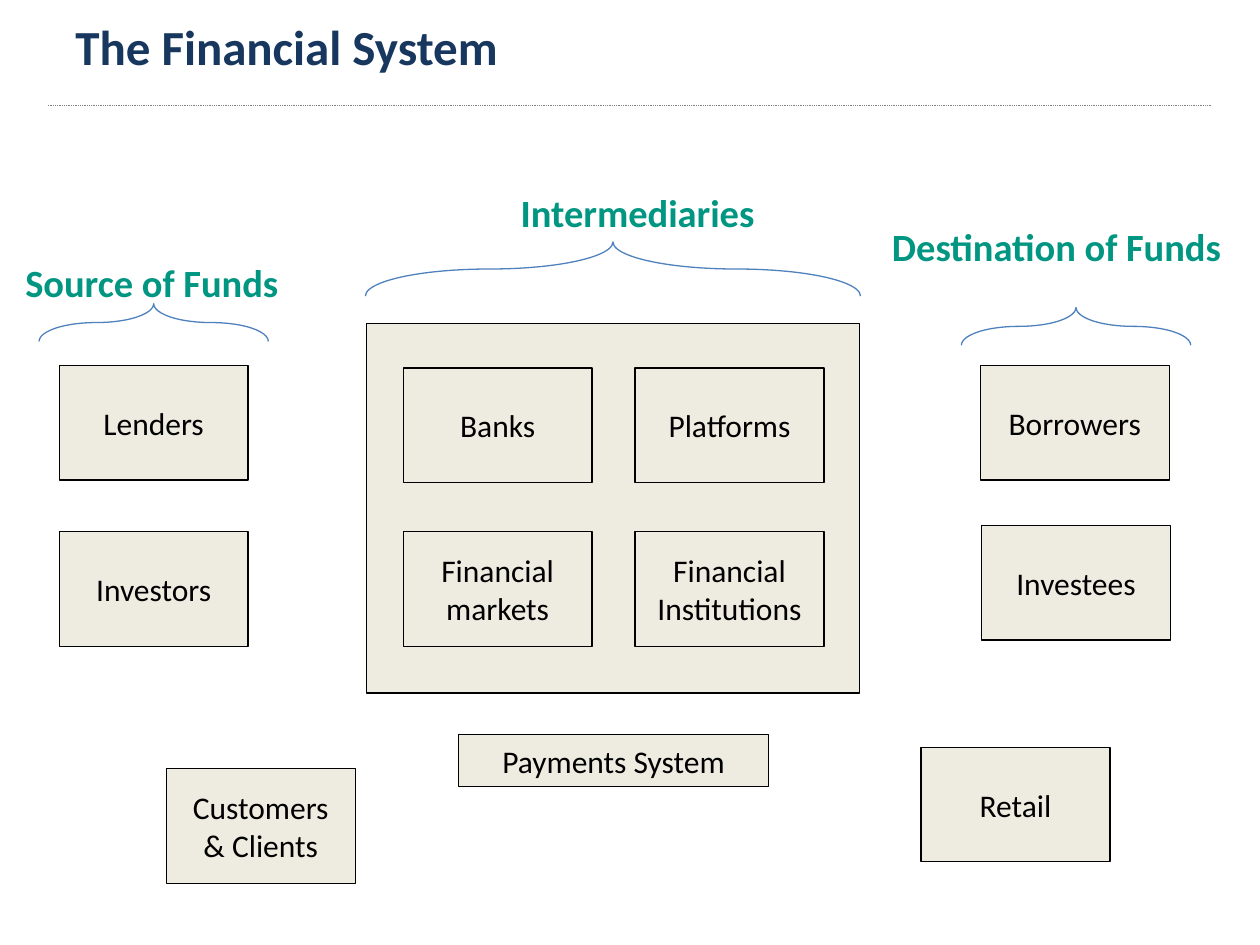
from dataclasses import dataclass
from pptx import Presentation
from pptx.dml.color import RGBColor
from pptx.enum import dml, shapes, text
from pptx.oxml.ns import qn
from pptx.util import Inches, Pt


@dataclass
class Theme:
    font: str = "Calibri"
    title: str = "17375E"
    head: str = "009682"
    ink: str = "000000"
    fill: str = "EEECE1"
    brace: str = "4F81BD"
    rule: str = "808080"
    big: int = 28
    mid: int = 22
    body: int = 18


look = Theme()
deck = Presentation()
deck.slide_width, deck.slide_height = Inches(10), Inches(7.5)
slide = deck.slides.add_slide(deck.slide_layouts[6])


def write(shape, words, size, color, bold=False, align=text.PP_ALIGN.CENTER):
    para = shape.text_frame.paragraphs[0]
    para.text = words
    para.alignment = align
    font = para.font
    font.name, font.size, font.bold = look.font, Pt(size), bold
    font.color.rgb = RGBColor.from_string(color)


def draw(kind, place, line, fill=None):
    shape = slide.shapes.add_shape(kind, *map(Inches, place))
    shape.shadow.inherit = False
    shape.line.color.rgb = RGBColor.from_string(line)
    shape.line.width = Pt(0.75)
    if fill:
        shape.fill.solid()
        shape.fill.fore_color.rgb = RGBColor.from_string(fill)
    else:
        shape.fill.background()
    return shape


# Rule under the title
rule = slide.shapes.add_connector(
    shapes.MSO_CONNECTOR.STRAIGHT,
    Inches(0.38), Inches(0.84), Inches(9.62), Inches(0.84))
rule.line.color.rgb = RGBColor.from_string(look.rule)
rule.line.width = Pt(0.5)
rule.line.dash_style = dml.MSO_LINE.ROUND_DOT
props = rule._element.spPr
props.append(props.makeelement(qn("a:effectLst"), {}))

# Title
title = slide.shapes.add_textbox(
    Inches(0.5), Inches(-0.26), Inches(9), Inches(1.25))
title.text_frame.word_wrap = True
title.text_frame.vertical_anchor = text.MSO_ANCHOR.MIDDLE
write(title, "The Financial System", look.big, look.title, True,
      text.PP_ALIGN.LEFT)

# Frame around the intermediaries
draw(shapes.MSO_SHAPE.RECTANGLE, (2.91, 2.57, 3.91, 2.93), look.ink, look.fill)

# Labelled boxes
wide, high = 1.5, 0.91
boxes = [
    ("Lenders", 0.47, 2.9, wide, high),
    ("Investors", 0.47, 4.22, wide, high),
    ("Banks", 3.2, 2.92, wide, high),
    ("Platforms", 5.04, 2.92, wide, high),
    ("Financial markets", 3.2, 4.22, wide, high),
    ("Financial Institutions", 5.04, 4.22, wide, high),
    ("Borrowers", 7.78, 2.9, wide, high),
    ("Investees", 7.79, 4.17, wide, high),
    ("Customers & Clients", 1.32, 6.1, wide, high),
    ("Retail", 7.31, 5.93, wide, high),
    ("Payments System", 3.64, 5.83, 2.46, 0.41),
]
for words, *place in boxes:
    box = draw(shapes.MSO_SHAPE.RECTANGLE, place, look.ink, look.fill)
    box.text_frame.word_wrap = True
    box.text_frame.vertical_anchor = text.MSO_ANCHOR.MIDDLE
    write(box, words, look.body, look.ink)

# Group headings, each with a brace turned to point up
groups = [
    ("Source of Funds", (0.09, 2.01, 2.23), (1.07, 1.65, 0.3, 1.82), 1.51),
    ("Intermediaries", (4.02, 1.45, 2.08), (4.65, 0.17, 0.43, 3.93), 2.6),
    ("Destination of Funds", (6.96, 1.72, 2.85), (8.39, 1.68, 0.3, 1.82), 1.51),
]
for words, spot, place, curve in groups:
    brace = draw(shapes.MSO_SHAPE.RIGHT_BRACE, place, look.brace)
    brace.rotation = 270
    brace.adjustments[0] = curve
    head = slide.shapes.add_textbox(*map(Inches, spot), Inches(0.47))
    head.text_frame.word_wrap = False
    head.text_frame.auto_size = text.MSO_AUTO_SIZE.SHAPE_TO_FIT_TEXT
    write(head, words, look.mid, look.head, True)

deck.save("out.pptx")
